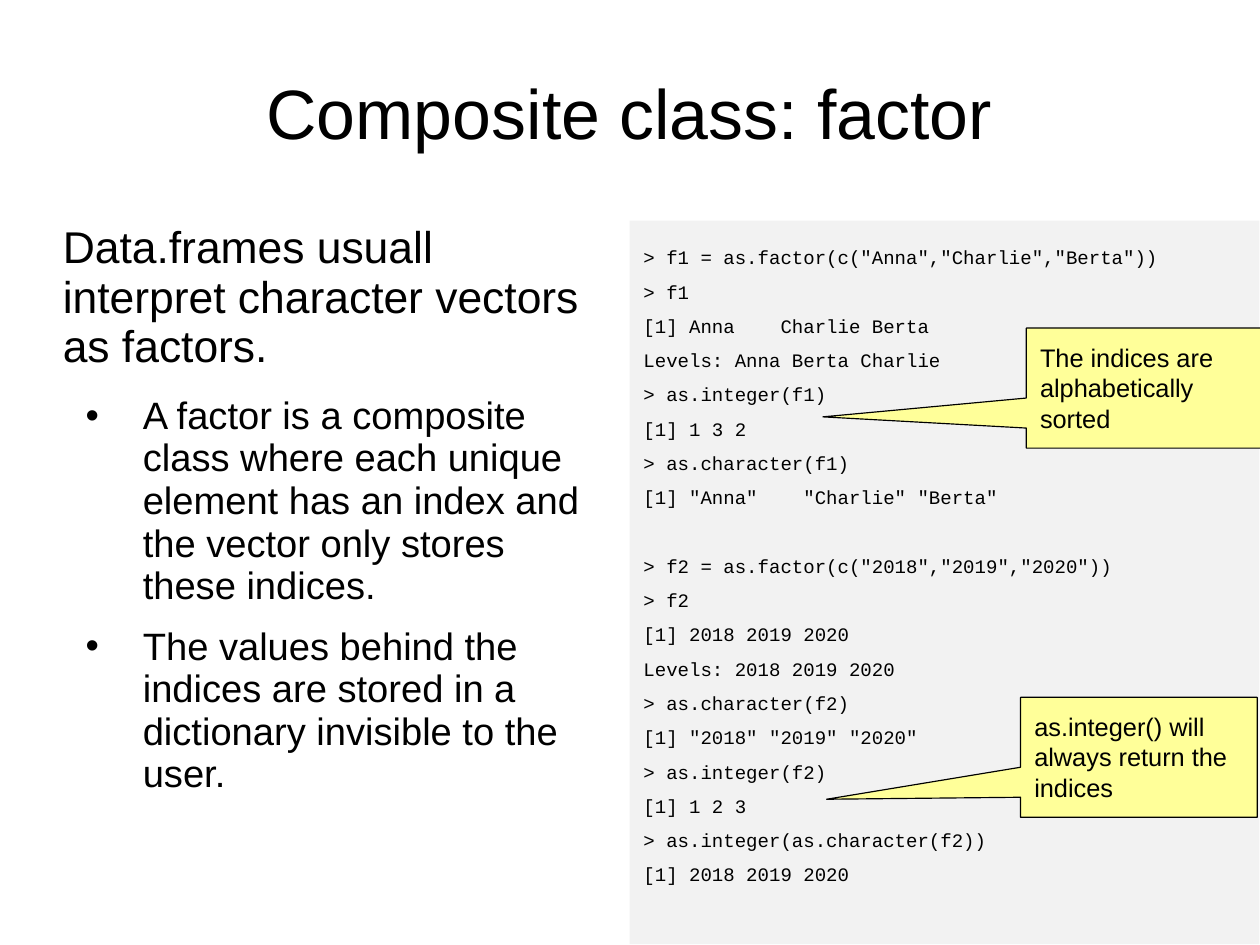
"""Build the slide on the composite class factor in R."""
from dataclasses import dataclass

from lxml import etree
from pptx import Presentation
from pptx.dml.color import RGBColor
from pptx.enum.shapes import MSO_SHAPE as Shp
from pptx.enum.text import MSO_ANCHOR as Anchor, MSO_AUTO_SIZE as AutoSize, PP_ALIGN as Align
from pptx.oxml.ns import qn
from pptx.util import Inches, Pt

BLACK, GREY, YELLOW = "000000", "F2F2F2", "FFFF99"
PAD = 0.12
CODE_LINE = 21.6

CODE_BLOCKS = [
    """> f1 = as.factor(c("Anna","Charlie","Berta"))
> f1
[1] Anna    Charlie Berta
Levels: Anna Berta Charlie
> as.integer(f1)
[1] 1 3 2
> as.character(f1)
[1] "Anna"    "Charlie" "Berta\"""",
    """> f2 = as.factor(c("2018","2019","2020"))
> f2
[1] 2018 2019 2020
Levels: 2018 2019 2020
> as.character(f2)
[1] "2018" "2019" "2020"
> as.integer(f2)
[1] 1 2 3
> as.integer(as.character(f2))
[1] 2018 2019 2020""",
]
BULLETS = [
    "A factor is a composite class where each unique element has an index "
    "and the vector only stores these indices.",
    "The values behind the indices are stored in a dictionary invisible to the user.",
]


@dataclass
class Callout:
    text: str
    x: float
    y: float
    tip: tuple[float, float]


CALLOUTS = [
    Callout("The indices are alphabetically sorted", 8.98, 2.87, (-1.36, 0.24)),
    Callout("as.integer() will always return the indices", 8.93, 6.1, (-1.32, 0.35)),
]


def rgb(color: str) -> RGBColor:
    return RGBColor.from_string(color)


def set_frame(tf, left=0.0, top=0.0, right=0.0, bottom=0.0, anchor=Anchor.TOP) -> None:
    tf.word_wrap = True
    tf.auto_size = AutoSize.NONE
    tf.vertical_anchor = anchor
    tf.margin_left, tf.margin_top = Inches(left), Inches(top)
    tf.margin_right, tf.margin_bottom = Inches(right), Inches(bottom)


def add_text(tf, text: str, *, size: float, font="Arial", align=Align.LEFT,
             spacing=1.0, before=0.0, after=0.0, bullet=False) -> None:
    p = tf.add_paragraph() if tf.paragraphs[0].runs else tf.paragraphs[0]
    p.alignment, p.line_spacing = align, spacing
    p.space_before, p.space_after = Pt(before), Pt(after)
    if bullet:
        p.level = 1
        pPr = p._p.get_or_add_pPr()
        pPr.set("marL", str(Inches(0.7)))
        pPr.set("indent", str(Inches(-0.5)))
        etree.SubElement(pPr, qn("a:buFont")).set("typeface", "Arial")
        etree.SubElement(pPr, qn("a:buChar")).set("char", "•")
    r = p.add_run()
    r.text = text
    r.font.size, r.font.name = Pt(size), font
    r.font.color.rgb = rgb(BLACK)


def add_box(s, kind, x: float, y: float, w: float, h: float, fill: str, line: str | None = None):
    sp = s.shapes.add_shape(kind, Inches(x), Inches(y), Inches(w), Inches(h))
    sp.shadow.inherit = False
    sp.fill.solid()
    sp.fill.fore_color.rgb = rgb(fill)
    if line:
        sp.line.color.rgb = rgb(line)
        sp.line.width = Pt(0.75)
    else:
        sp.line.fill.background()
    set_frame(sp.text_frame, PAD, PAD, PAD, PAD)
    return sp


def add_textbox(s, x: float, y: float, w: float, h: float, **frame):
    tf = s.shapes.add_textbox(Inches(x), Inches(y), Inches(w), Inches(h)).text_frame
    set_frame(tf, **frame)
    return tf


def add_callout(s, c: Callout) -> None:
    sp = add_box(s, Shp.RECTANGULAR_CALLOUT, c.x, c.y, 2.07, 1.05, YELLOW, BLACK)
    sp.adjustments[0], sp.adjustments[1] = c.tip
    add_text(sp.text_frame, c.text, size=16)


def main() -> None:
    prs = Presentation()
    prs.slide_width, prs.slide_height = Pt(793.75), Pt(595.25)
    s = prs.slides.add_slide(prs.slide_layouts[6])

    title = add_textbox(s, 0.55, 0.33, 9.92, 1.38, anchor=Anchor.MIDDLE)
    add_text(title, "Composite class: factor", size=44, align=Align.CENTER, spacing=0.93)

    body = add_textbox(s, 0.55, 1.93, 4.76, 5.6, top=0.03)
    add_text(body, "Data.frames usuall interpret character vectors as factors.",
             size=28, spacing=0.93, after=14.2)
    for bullet in BULLETS:
        add_text(body, bullet, size=24, spacing=0.93, after=11.4, bullet=True)

    console = add_box(s, Shp.RECTANGLE, 5.51, 1.93, 5.51, 6.33, GREY)
    for b, block in enumerate(CODE_BLOCKS):
        for i, line in enumerate(block.splitlines()):
            add_text(console.text_frame, line, size=12, font="Courier New", spacing=1.5,
                     before=CODE_LINE if b and i == 0 else 0)

    for callout in CALLOUTS:
        add_callout(s, callout)
    prs.save("out.pptx")


if __name__ == "__main__":
    main()
